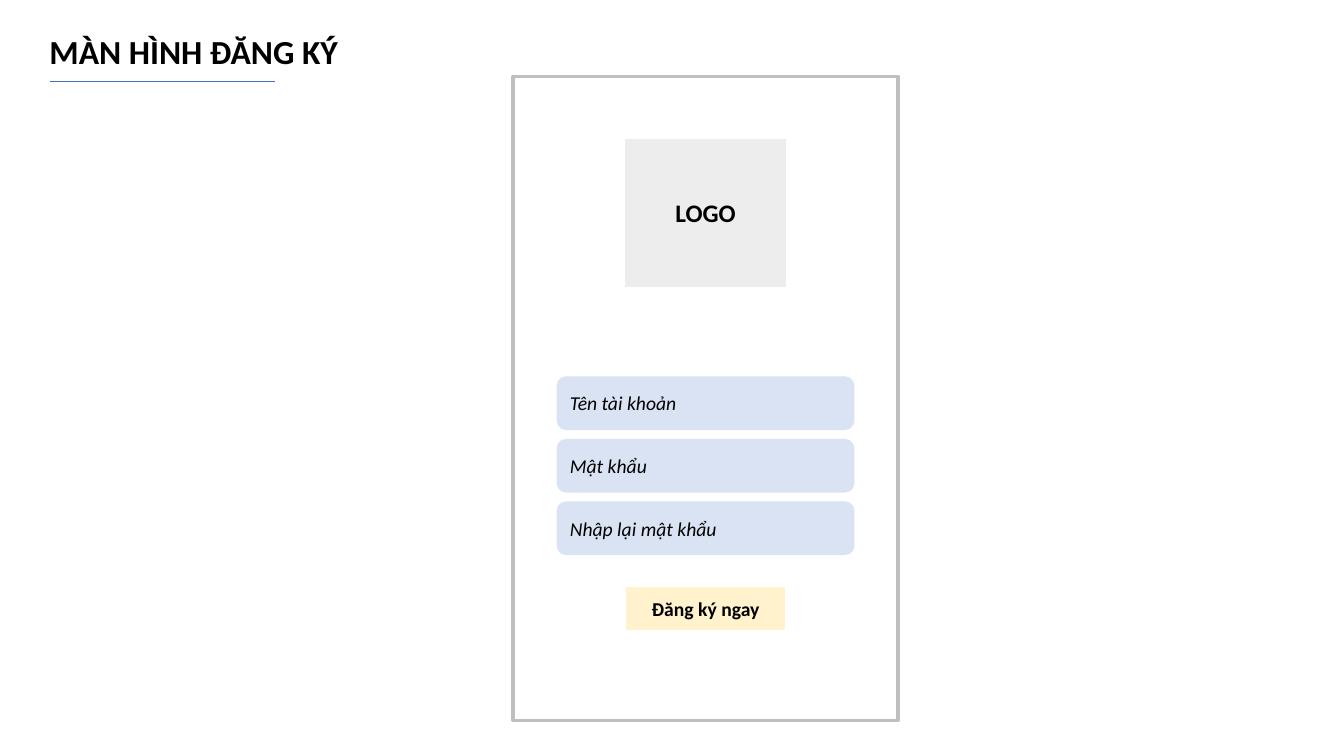
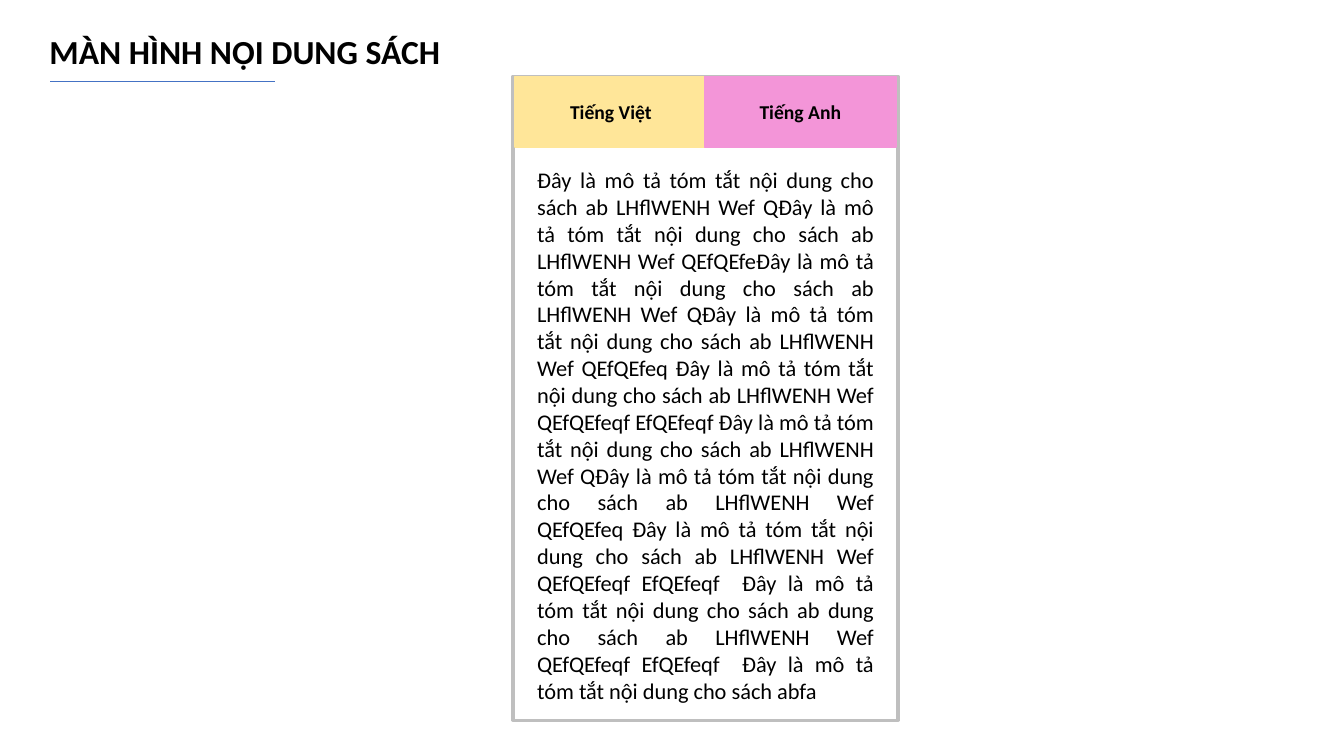
"""Wireframes of a reading app: the sign-up screen and the book content screen."""
from dataclasses import dataclass

from lxml import etree
from pptx import Presentation
from pptx import util as u
from pptx.dml.color import RGBColor
from pptx.enum import shapes, text
from pptx.oxml.ns import qn


@dataclass(frozen=True)
class Theme:
    """Colours, font and type sizes of the deck."""
    font: str = "Calibri"
    ink: str = "000000"
    paper: str = "FFFFFF"
    rule: str = "4472C4"
    frame: str = "BFBFBF"
    logo: str = "EDEDED"
    field: str = "DAE3F3"
    button: str = "FFF2CC"
    vietnamese: str = "FFE699"
    english: str = "F395D8"
    title_size: int = 24
    logo_size: int = 18
    body_size: int = 16
    label_size: int = 14


class Wireframe:
    """Draws on the current slide; lengths are percent of the slide's size."""
    CENTRE = 52.5  # vertical axis of the phone screen
    PHONE_TOP, PHONE_WIDTH, PHONE_HEIGHT = 10.07, 28.65, 85.2

    def __init__(self, theme):
        """Open an empty widescreen deck."""
        self.theme = theme
        self.deck = Presentation()
        self.deck.slide_width = u.Inches(13.33)
        self.deck.slide_height = u.Inches(7.5)
        self.slide = None

    def x(self, share):
        """Convert a share of the slide's width."""
        return round(self.deck.slide_width * share / 100)

    def y(self, share):
        """Convert a share of the slide's height."""
        return round(self.deck.slide_height * share / 100)

    def box(self, left, top, width, height):
        """Convert the four sides of a box."""
        return self.x(left), self.y(top), self.x(width), self.y(height)

    def centred(self, top, width, height):
        """Place a box on the axis of the phone screen."""
        return self.box(self.CENTRE - width / 2, top, width, height)

    def letter(self, frame, words, size, align=text.PP_ALIGN.LEFT,
               anchor=text.MSO_ANCHOR.MIDDLE, bold=False, italic=False):
        """Set one paragraph and format its run."""
        frame.text = words
        frame.vertical_anchor = anchor
        paragraph = frame.paragraphs[0]
        paragraph.alignment = align
        font = paragraph.runs[0].font
        font.name, font.size = self.theme.font, u.Pt(size)
        font.bold, font.italic = bold, italic
        font.color.rgb = RGBColor.from_string(self.theme.ink)

    def screen(self, title, title_width):
        """Start a slide with its title, rule and phone outline."""
        self.slide = self.deck.slides.add_slide(self.deck.slide_layouts[5])
        heading = self.slide.shapes.title
        (heading.left, heading.top,
         heading.width, heading.height) = self.box(2.93, 3.47, title_width, 6.67)
        self.letter(heading.text_frame, title, self.theme.title_size,
                    anchor=text.MSO_ANCHOR.TOP, bold=True)
        heading.text_frame.word_wrap = False
        heading.text_frame.auto_size = text.MSO_AUTO_SIZE.SHAPE_TO_FIT_TEXT
        self.rule(3.75, 20.48, 10.8)
        self.panel(self.centred(self.PHONE_TOP, self.PHONE_WIDTH, self.PHONE_HEIGHT),
                   self.theme.paper, self.theme.frame, 2.25)

    def rule(self, start, end, level):
        """Draw a thin horizontal line."""
        rule = self.slide.shapes.add_connector(
            shapes.MSO_CONNECTOR.STRAIGHT,
            self.x(start), self.y(level), self.x(end), self.y(level))
        rule.line.color.rgb = RGBColor.from_string(self.theme.rule)
        rule.line.width = u.Pt(0.5)
        etree.SubElement(rule._element.spPr, qn("a:effectLst"))

    def panel(self, place, fill, outline=None, weight=1,
              kind=shapes.MSO_SHAPE.RECTANGLE):
        """Draw a filled shape, outlined in its own colour by default."""
        panel = self.slide.shapes.add_shape(kind, *place)
        panel.shadow.inherit = False
        panel.fill.solid()
        panel.fill.fore_color.rgb = RGBColor.from_string(fill)
        panel.line.color.rgb = RGBColor.from_string(outline or fill)
        panel.line.width = u.Pt(weight)
        return panel

    def logo(self, words):
        """Draw the logo placeholder."""
        logo = self.panel(self.centred(18.27, 12.08, 19.73),
                          self.theme.logo, self.theme.paper)
        self.letter(logo.text_frame, words, self.theme.logo_size,
                    text.PP_ALIGN.CENTER, bold=True)

    def field(self, row, hint):
        """Draw an input field on the given row of the form."""
        field = self.panel(self.centred(49.87 + 8.27 * row, 22.05, 6.93),
                           self.theme.field, kind=shapes.MSO_SHAPE.ROUNDED_RECTANGLE)
        self.letter(field.text_frame, hint, self.theme.label_size, italic=True)

    def button(self, place, label, fill):
        """Draw a flat button with a bold centred label."""
        button = self.panel(place, fill)
        self.letter(button.text_frame, label, self.theme.label_size,
                    text.PP_ALIGN.CENTER, bold=True)

    def tab(self, column, label, fill):
        """Draw a language tab at the top of the phone screen."""
        self.button(self.box(38.33 + 14.1 * column, 10.13, 14.25, 9.33), label, fill)

    def body(self, words):
        """Set justified running text inside the phone screen."""
        body = self.slide.shapes.add_textbox(*self.centred(21.33, 26.55, 73.2))
        body.text_frame.word_wrap = True
        self.letter(body.text_frame, words, self.theme.body_size,
                    text.PP_ALIGN.JUSTIFY, text.MSO_ANCHOR.TOP)


def book_summary():
    """Assemble the filler text from its repeated sentence."""
    sentence = "Đây là mô tả tóm tắt nội dung cho sách ab"
    filler = " LHflWENH Wef Q"
    short, long = "EfQEfeq ", "EfQEfeqf EfQEfeqf "
    endings = ["", "EfQEfe", "", short, long, "", short, long + " "]
    opening = "".join(sentence + filler + ending for ending in endings)
    return (opening + sentence + " dung cho sách ab" + filler + long + " "
            + sentence + "fa")


def sign_up(wireframe):
    """Build the sign-up screen."""
    wireframe.screen("MÀN HÌNH ĐĂNG KÝ", 23.18)
    wireframe.logo("LOGO")
    for row, hint in enumerate(["Tên tài khoản", "Mật khẩu", "Nhập lại mật khẩu"]):
        wireframe.field(row, hint)
    wireframe.button(wireframe.centred(77.73, 11.7, 5.47),
                     "Đăng ký ngay", wireframe.theme.button)


def book_content(wireframe):
    """Build the book content screen."""
    wireframe.screen("MÀN HÌNH NỘI DUNG SÁCH", 30.83)
    wireframe.body(book_summary())
    wireframe.tab(0, "Tiếng Việt", wireframe.theme.vietnamese)
    wireframe.tab(1, "Tiếng Anh", wireframe.theme.english)


def main():
    """Build both screens and save the deck."""
    wireframe = Wireframe(Theme())
    sign_up(wireframe)
    book_content(wireframe)
    wireframe.deck.save("out.pptx")


main()
